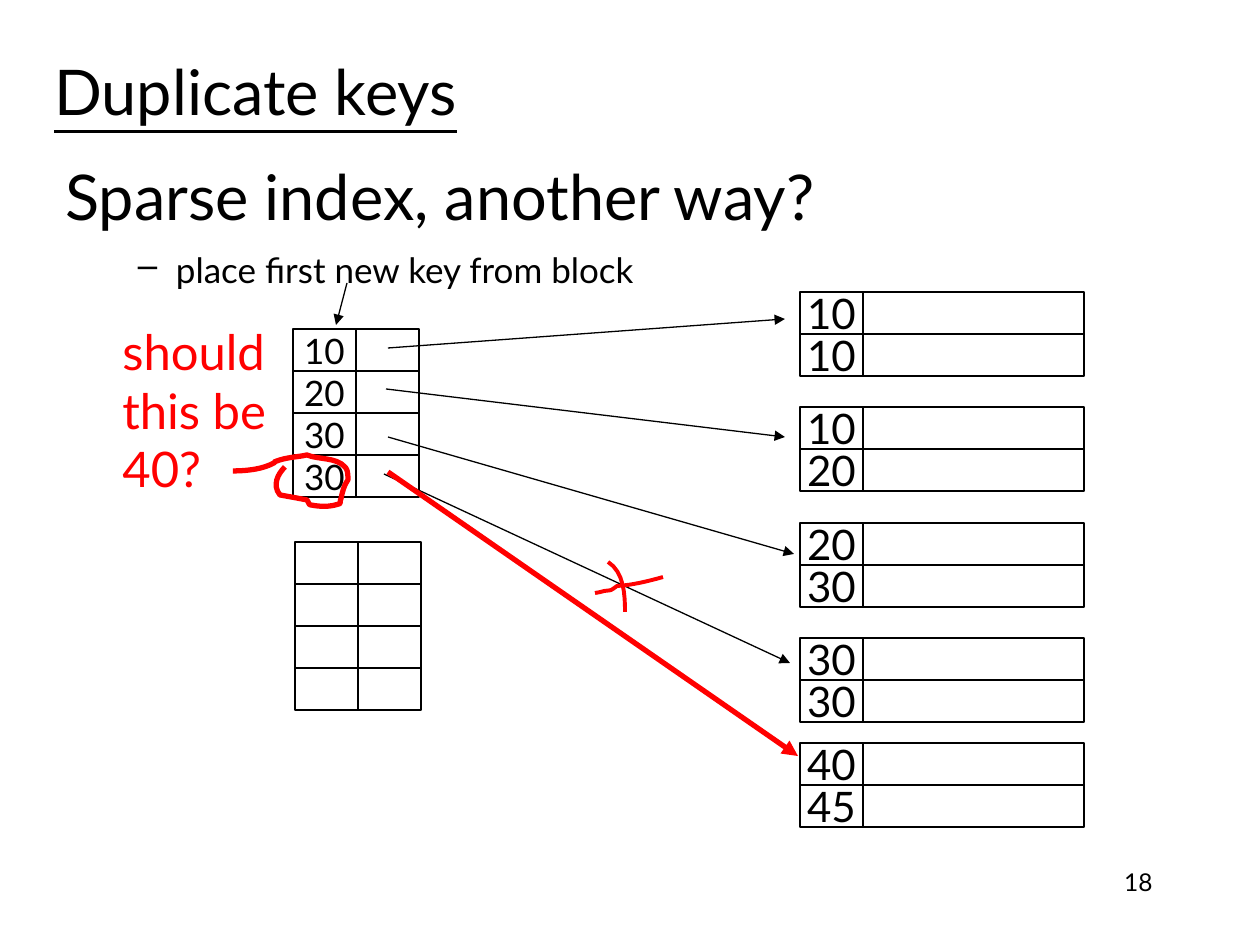
from itertools import product

from lxml.etree import SubElement
from pptx import Presentation
from pptx.dml.color import RGBColor
from pptx.enum.shapes import MSO_CONNECTOR, MSO_SHAPE
from pptx.enum.text import MSO_ANCHOR, PP_ALIGN
from pptx.oxml.ns import qn
from pptx.util import Emu, Pt

EMU_PER_PX = 914400 / 126
BLACK = RGBColor(0x00, 0x00, 0x00)
WHITE = RGBColor(0xFF, 0xFF, 0xFF)
RED = RGBColor(0xFF, 0x00, 0x00)
FONT = "Lato"
ROW_HEIGHT = 42
KEY_WIDTH = 63
RECORD_WIDTH = 221
CURVE_STEPS = 8

BLOCKS = [
    (292, ["10", "10"]),
    (407, ["10", "20"]),
    (523, ["20", "30"]),
    (638, ["30", "30"]),
    (743, ["40", "45"]),
]
POINTERS = [
    (388, 348, 785, 319),
    (386, 389, 785, 437),
    (388, 437, 794, 554),
    (384, 474, 790, 663),
    (347, 283, 336, 325),
]
KEY_LOOP = [
    (285, 467), (278, 474), (272, 485), (280, 495),
    (280, 495), (302, 499), (307, 500),
    (309, 503), (309, 505), (311, 505),
    (321, 507), (330, 507), (339, 504),
    (341, 504), (340, 500), (341, 499),
    (343, 490), (344, 486), (348, 480),
    (348, 475), (348, 470), (345, 467),
    (336, 457), (319, 460), (307, 455),
    (299, 457), (290, 457), (280, 460),
    (268, 464), (281, 460), (270, 465),
    (258, 470), (244, 471), (233, 471),
]
CROSS_STROKES = [
    [
        (663, 577), (649, 581), (633, 585), (617, 586),
        (610, 591), (612, 590), (604, 591),
        (601, 592), (595, 593), (595, 593),
    ],
    [(608, 562), (624, 572), (625, 595), (625, 612)],
]


def px(length):
    """Turn a length in px into EMU."""
    return Emu(round(length * EMU_PER_PX))


def set_text(frame, lines, size, color=BLACK, align=PP_ALIGN.LEFT, **extra):
    """Write one paragraph per line with the same character format."""
    font_format = {"name": FONT, "size": Pt(size), **extra}
    for index, line in enumerate(lines):
        para = frame.add_paragraph() if index else frame.paragraphs[0]
        para.alignment = align
        span = para.add_run()
        span.text = line
        for name, value in font_format.items():
            setattr(span.font, name, value)
        span.font.color.rgb = color


def add_label(page, place, lines, size, anchor=MSO_ANCHOR.MIDDLE, **text_format):
    """Add a text box and return its text frame."""
    frame = page.shapes.add_textbox(*map(px, place)).text_frame
    frame.word_wrap = True
    frame.vertical_anchor = anchor
    set_text(frame, lines, size, **text_format)
    return frame


def add_dash(para, indent):
    """Give a paragraph a dash bullet with a hanging indent."""
    properties = para._p.get_or_add_pPr()
    properties.set("marL", str(px(indent)))
    properties.set("indent", str(-px(indent)))
    SubElement(properties, qn("a:buChar"), char="–")


def set_line(line, color, width):
    """Set the colour and the width in points of a line."""
    line.color.rgb = color
    line.width = Pt(width)


def add_cell(page, left, top, width, text, size):
    """Add one bordered cell, with a centred key if there is one."""
    box = page.shapes.add_shape(
        MSO_SHAPE.RECTANGLE, px(left), px(top), px(width), px(ROW_HEIGHT)
    )
    box.shadow.inherit = False
    box.fill.solid()
    box.fill.fore_color.rgb = WHITE
    set_line(box.line, BLACK, 0.75)
    if text:
        box.text_frame.word_wrap = False
        box.text_frame.vertical_anchor = MSO_ANCHOR.MIDDLE
        set_text(box.text_frame, [text], size, align=PP_ALIGN.CENTER)


def add_rows(page, left, top, keys, value_width, size):
    """Stack rows of a key cell and an empty cell beside it."""
    for row, key in enumerate(keys):
        row_top = top + row * ROW_HEIGHT
        add_cell(page, left, row_top, KEY_WIDTH, key, size)
        add_cell(page, left + KEY_WIDTH, row_top, value_width, "", size)


def add_arrow(page, ends, color=BLACK, width=0.75):
    """Add a straight arrow with a triangle at its end."""
    arrow = page.shapes.add_connector(MSO_CONNECTOR.STRAIGHT, *map(px, ends))
    set_line(arrow.line, color, width)
    SubElement(arrow.line._get_or_add_ln(), qn("a:tailEnd"), type="triangle")
    SubElement(arrow._element.spPr, qn("a:effectLst"))


def curve_point(controls, t):
    """Return the point at t on a cubic curve, in EMU."""
    weights = ((1 - t) ** 3, 3 * t * (1 - t) ** 2, 3 * t**2 * (1 - t), t**3)
    return tuple(
        px(sum(weight * value for weight, value in zip(weights, axis)))
        for axis in zip(*controls)
    )


def add_stroke(page, points, width):
    """Draw an open red stroke through chained cubic curves."""
    starts = range(0, len(points) - 1, 3)
    samples = [
        curve_point(points[start:start + 4], step / CURVE_STEPS)
        for start, step in product(starts, range(1, CURVE_STEPS + 1))
    ]
    builder = page.shapes.build_freeform(*map(px, points[0]))
    builder.add_line_segments(samples, close=False)
    stroke = builder.convert_to_shape()
    stroke.shadow.inherit = False
    stroke.fill.background()
    set_line(stroke.line, RED, width)


def main():
    """Build the slide and save the deck."""
    deck = Presentation()
    deck.slide_width, deck.slide_height = px(1260), px(945)
    page = deck.slides.add_slide(deck.slide_layouts[6])

    add_label(page, (903, 861, 262, 63), ["18"], 14,
              anchor=MSO_ANCHOR.TOP, align=PP_ALIGN.RIGHT)
    for top, keys in BLOCKS:
        add_rows(page, 800, top, keys, RECORD_WIDTH, 24)
    add_rows(page, 293, 329, ["10", "20", "30", "30"], KEY_WIDTH, 20)
    add_rows(page, 295, 542, [""] * 4, KEY_WIDTH, 20)

    add_label(page, (53, 116, 1071, 158), ["Sparse index, another way?"], 36)
    add_label(page, (42, 42, 462, 97), ["Duplicate keys"], 36, underline=True)
    hint = add_label(page, (115, 242, 542, 55),
                     ["place first new key from block"], 20,
                     align=PP_ALIGN.CENTER)
    add_dash(hint.paragraphs[0], 38)
    for ends in POINTERS:
        add_arrow(page, ends)

    add_stroke(page, KEY_LOOP, 3)
    add_label(page, (110, 315, 181, 189), ["should", "this be", "40?"], 28,
              color=RED)
    for points in CROSS_STROKES:
        add_stroke(page, points, 2.25)
    add_arrow(page, (388, 472, 798, 756), RED, 3)
    deck.save("out.pptx")


if __name__ == "__main__":
    main()
